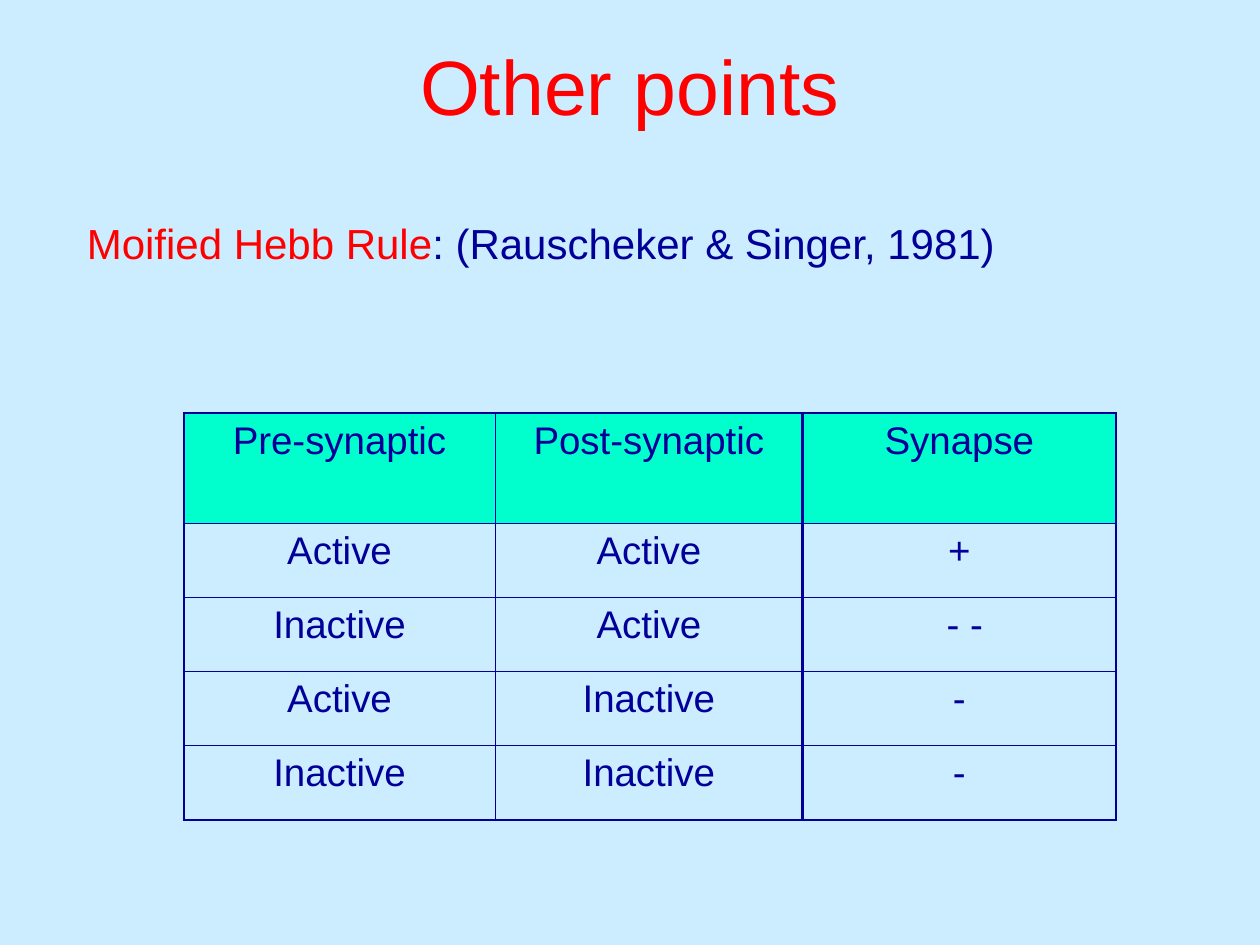
from lxml.etree import SubElement
from pptx import Presentation
from pptx.dml.color import RGBColor
from pptx.enum.text import MSO_ANCHOR, MSO_AUTO_SIZE, PP_ALIGN
from pptx.oxml.ns import qn
from pptx.util import Pt

SKY = RGBColor(0xCC, 0xEC, 0xFF)
RED = RGBColor(0xFF, 0x00, 0x00)
NAVY = RGBColor(0x00, 0x00, 0x99)
MINT = RGBColor(0x00, 0xFF, 0xCC)

COLUMN_WIDTHS = [177.84, 175.68, 179.28]
ROW_HEIGHTS = [62.64] + [42.48] * 4
COLUMN_RULES = [1.08, 0.45, 2.21, 1.08]
ROW_RULES = [1.08, 0.45, 0.45, 0.45, 0.45, 1.08]
HEBB_TABLE = [
    ["Pre-synaptic", "Post-synaptic", "Synapse"],
    ["Active", "Active", "+"],
    ["Inactive", "Active", " - -"],
    ["Active", "Inactive", "-"],
    ["Inactive", "Inactive", "-"],
]


class SlideBuilder:
    """Hold the shared style and the slide being built."""

    font_name = "Arial"

    def __init__(self, presentation):
        self.slide = presentation.slides.add_slide(presentation.slide_layouts[5])
        self.slide.background.fill.solid()
        self.slide.background.fill.fore_color.rgb = SKY

    def add_runs(self, paragraph, runs, size, alignment):
        paragraph.alignment = alignment
        for text, color in runs:
            run = paragraph.add_run()
            run.text = text
            run.font.name = self.font_name
            run.font.size = Pt(size)
            run.font.color.rgb = color

    def title(self, text, left, top, width, height):
        shape = self.slide.shapes.title
        shape.left, shape.top = Pt(left), Pt(top)
        shape.width, shape.height = Pt(width), Pt(height)
        frame = shape.text_frame
        frame.auto_size = MSO_AUTO_SIZE.NONE
        frame.vertical_anchor = MSO_ANCHOR.MIDDLE
        self.add_runs(frame.paragraphs[0], [(text, RED)], 44, PP_ALIGN.CENTER)

    def text(self, runs, left, top, width, height):
        shape = self.slide.shapes.add_textbox(Pt(left), Pt(top), Pt(width), Pt(height))
        frame = shape.text_frame
        frame.word_wrap = True
        frame.auto_size = MSO_AUTO_SIZE.SHAPE_TO_FIT_TEXT
        self.add_runs(frame.paragraphs[0], runs, 24, PP_ALIGN.LEFT)

    def border(self, cell, side, width):
        properties = cell._tc.get_or_add_tcPr()
        line = SubElement(properties, qn(f"a:ln{side}"), w=str(Pt(width)))
        fill = SubElement(line, qn("a:solidFill"))
        SubElement(fill, qn("a:srgbClr"), val=str(NAVY))

    def table(self, rows, left, top):
        shape = self.slide.shapes.add_table(
            len(rows), len(rows[0]), Pt(left), Pt(top),
            Pt(sum(COLUMN_WIDTHS)), Pt(sum(ROW_HEIGHTS)))
        table = shape.table
        table.first_row = table.horz_banding = False
        for column, width in zip(table.columns, COLUMN_WIDTHS):
            column.width = Pt(width)
        for row, height in zip(table.rows, ROW_HEIGHTS):
            row.height = Pt(height)
        for row_index, texts in enumerate(rows):
            for column_index, text in enumerate(texts):
                cell = table.cell(row_index, column_index)
                self.border(cell, "L", COLUMN_RULES[column_index])
                self.border(cell, "R", COLUMN_RULES[column_index + 1])
                self.border(cell, "T", ROW_RULES[row_index])
                self.border(cell, "B", ROW_RULES[row_index + 1])
                if row_index == 0:
                    cell.fill.solid()
                    cell.fill.fore_color.rgb = MINT
                else:
                    cell.fill.background()
                paragraph = cell.text_frame.paragraphs[0]
                self.add_runs(paragraph, [(text, NAVY)], 22, PP_ALIGN.CENTER)


def main():
    presentation = Presentation()
    presentation.slide_width, presentation.slide_height = Pt(720), Pt(540)
    builder = SlideBuilder(presentation)
    builder.title("Other points", 36, 3.6, 648, 90)
    builder.text(
        [("Moified Hebb Rule", RED), (": (Rauscheker & Singer, 1981)", NAVY)],
        42.48, 120.96, 583.92, 36)
    builder.table(HEBB_TABLE, 105.12, 236.16)
    presentation.save("out.pptx")


if __name__ == "__main__":
    main()
